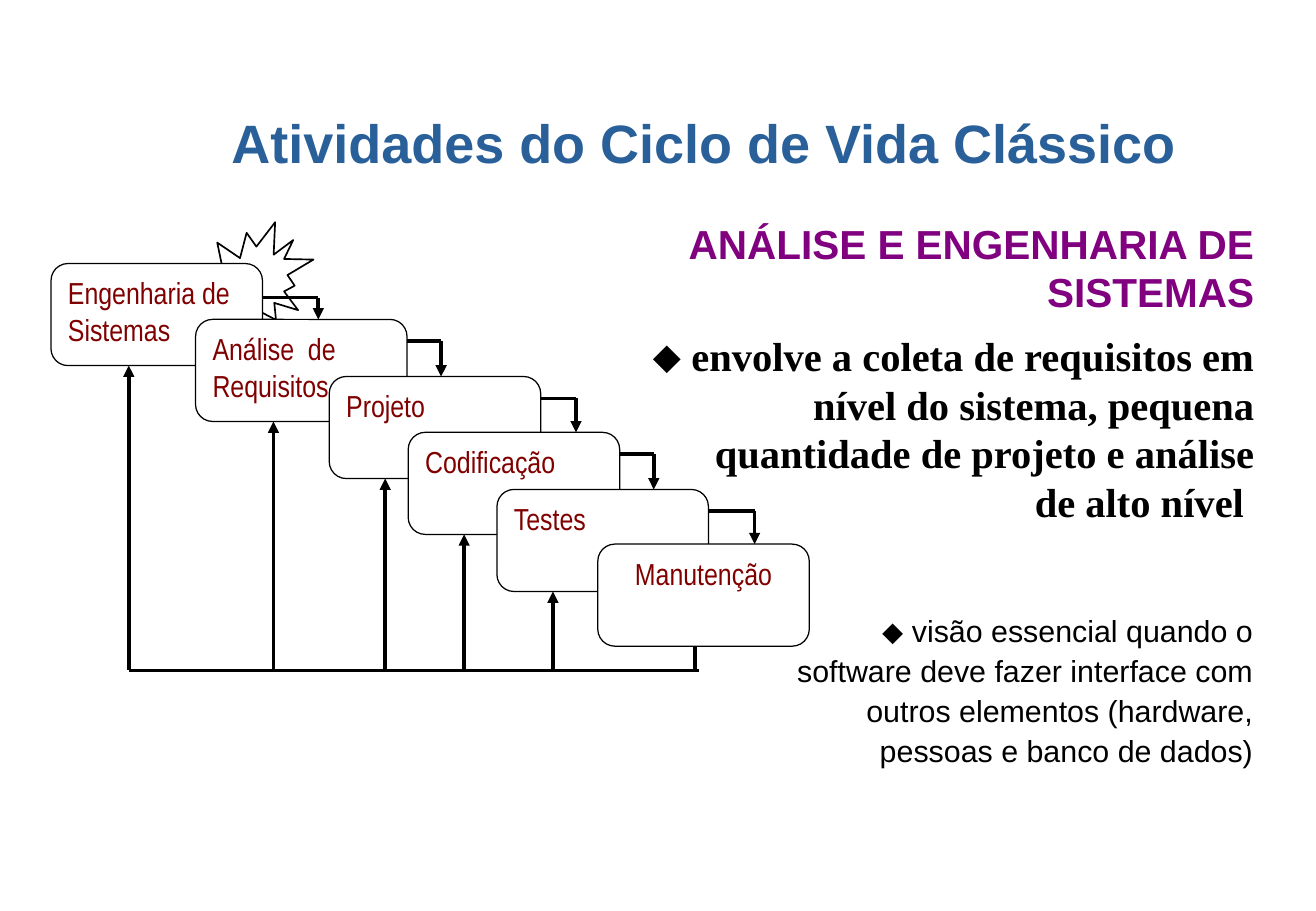
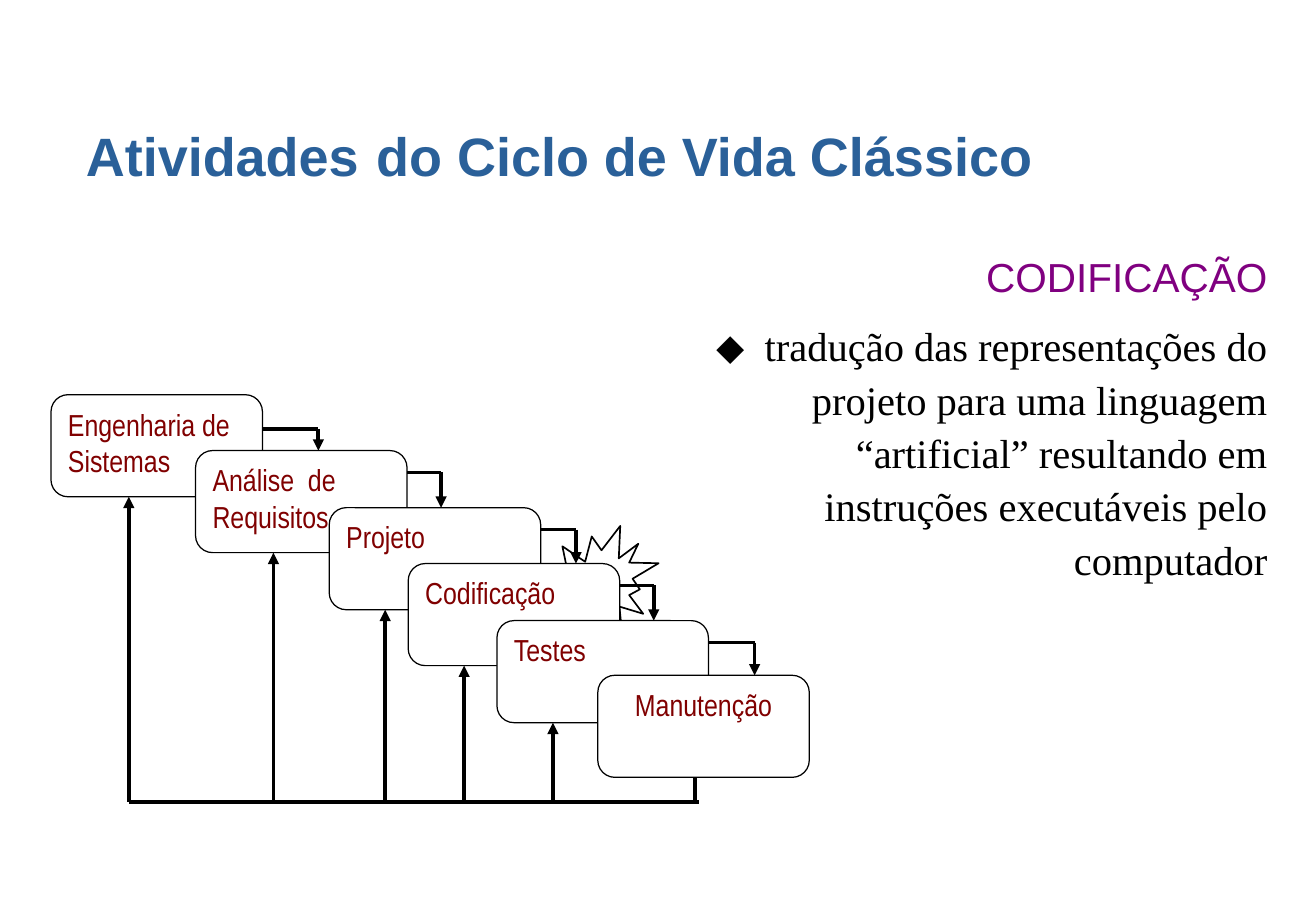
from lxml import etree
from pptx import Presentation
from pptx.dml.color import RGBColor
from pptx.enum import shapes, text
from pptx.oxml.ns import qn
from pptx.util import Inches, Pt

COLORS = {"title": "2A6099", "heading": "800080", "stage": "800000",
          "ink": "000000", "paper": "FFFFFF"}
SANS, NARROW, SERIF = "Arial", "Arial Narrow", "Times New Roman"
LEFT, CENTER, RIGHT = (text.PP_ALIGN.LEFT, text.PP_ALIGN.CENTER,
                       text.PP_ALIGN.RIGHT)
TOP, MIDDLE = text.MSO_ANCHOR.TOP, text.MSO_ANCHOR.MIDDLE
PADDING = (0.1, 0.05)

# Waterfall geometry; heights are measured from the top of the first stage
STAGE_W, STAGE_H = 1.74, 0.84
FLOOR = 3.35
# label, left, top, right end of the forward line, x of the feedback arrow
STAGES = [
    ("Engenharia de Sistemas", 0.42, 0, 2.62, 1.06),
    ("Análise  de Requisitos", 1.61, 0.46, 3.63, 2.25),
    ("Projeto", 2.71, 0.93, 4.74, 3.17),
    ("Codificação", 3.36, 1.39, 5.38, 3.82),
    ("Testes", 4.09, 1.86, 6.21, 4.55),
    ("Manutenção", 4.92, 2.31, None, 5.72),
]


def rgb(name):
    return RGBColor.from_string(COLORS[name])


def add_run(paragraph, words, size, font, color, bold=False):
    run = paragraph.add_run()
    run.text = words
    run.font.size, run.font.name, run.font.bold = Pt(size), font, bold
    run.font.color.rgb = rgb(color)


def format_paragraph(paragraph, align, spacing=1.0, before=0, after=0, hang=0):
    paragraph.alignment = align
    paragraph.line_spacing = spacing
    paragraph.space_before, paragraph.space_after = Pt(before), Pt(after)
    if hang:
        properties = paragraph._p.get_or_add_pPr()
        properties.set("marL", str(Inches(hang)))
        properties.set("indent", str(-Inches(hang)))


def format_frame(frame, padding=PADDING, anchor=TOP):
    frame.word_wrap = True
    frame.auto_size = text.MSO_AUTO_SIZE.NONE
    frame.vertical_anchor = anchor
    frame.margin_left = frame.margin_right = Inches(padding[0])
    frame.margin_top = frame.margin_bottom = Inches(padding[1])


def add_title(slide, box, runs, padding=PADDING):
    title = slide.shapes.title
    title.left, title.top, title.width, title.height = map(Inches, box)
    format_frame(title.text_frame, padding, MIDDLE)
    paragraph = title.text_frame.paragraphs[0]
    format_paragraph(paragraph, CENTER, 0.9)
    for run in runs:
        add_run(paragraph, *run)


def add_text(slide, box, paragraphs, padding=PADDING, anchor=TOP):
    """Right-aligned text; each paragraph is (format options, runs)."""
    frame = slide.shapes.add_textbox(*map(Inches, box)).text_frame
    format_frame(frame, padding, anchor)
    for index, (options, runs) in enumerate(paragraphs):
        paragraph = frame.add_paragraph() if index else frame.paragraphs[0]
        format_paragraph(paragraph, RIGHT, **options)
        for run in runs:
            add_run(paragraph, *run)


def add_line(group, x1, y1, x2, y2, arrow_end=None):
    line = group.shapes.add_connector(
        shapes.MSO_CONNECTOR.STRAIGHT, *map(Inches, (x1, y1, x2, y2)))
    line.line.color.rgb = rgb("ink")
    line.line.width = Pt(2.25)
    if arrow_end:
        etree.SubElement(line.line._get_or_add_ln(), qn(arrow_end),
                         type="triangle")
    etree.SubElement(line._element.spPr, qn("a:effectLst"))


def add_burst(slide, left, top):
    """Burst marking the current stage."""
    burst = slide.shapes.add_shape(
        shapes.MSO_SHAPE.EXPLOSION2, *map(Inches, (left, top, 1, 1)))
    burst.shadow.inherit = False
    burst.fill.background()
    burst.line.color.rgb = rgb("ink")
    burst.line.width = Pt(1)


def add_stage(group, label, left, top, align):
    stage = group.shapes.add_shape(
        shapes.MSO_SHAPE.ROUNDED_RECTANGLE,
        *map(Inches, (left, top, STAGE_W, STAGE_H)))
    stage.shadow.inherit = False
    stage.fill.solid()
    stage.fill.fore_color.rgb = rgb("paper")
    stage.line.color.rgb = rgb("ink")
    stage.line.width = Pt(0.75)
    format_frame(stage.text_frame)
    paragraph = stage.text_frame.paragraphs[0]
    format_paragraph(paragraph, align)
    add_run(paragraph, label, 18, NARROW, "stage")


def add_waterfall(slide, top):
    group = slide.shapes.add_group_shape()
    floor = top + FLOOR
    for label, left, drop, forward_x, _ in STAGES:
        add_stage(group, label, left, top + drop, LEFT if forward_x else CENTER)

    # Forward elbows to the next stage and feedback arrows from the floor
    for index, (stage, following) in enumerate(zip(STAGES, STAGES[1:])):
        _, left, drop, forward_x, feedback_x = stage
        exit_y = top + drop + (0.18 if index else 0.28)
        add_line(group, left + STAGE_W, exit_y, forward_x, exit_y)
        add_line(group, forward_x, exit_y, forward_x, top + following[2],
                 "a:tailEnd")
        add_line(group, feedback_x, top + drop + STAGE_H, feedback_x, floor,
                 "a:headEnd")

    # Return line under the stages
    _, _, drop, _, return_x = STAGES[-1]
    add_line(group, return_x, top + drop + STAGE_H, return_x, floor)
    add_line(group, STAGES[0][4], floor, return_x + 0.03, floor)


def build_systems_slide(slide):
    add_title(slide, (1.17, 0.58, 9.25, 1.25), [
        ("Atividades do Ciclo de Vida Clássico", 32, SANS, "title", True)])
    add_text(slide, (5.17, 1.75, 5.25, 2.91), [
        (dict(before=9, after=3, hang=0.38),
         [("ANÁLISE E ENGENHARIA DE SISTEMAS", 24, SANS, "heading", True)]),
        (dict(before=6, after=3, hang=0.38),
         [("⬥", 24, SANS, "ink", True),
          (" envolve a coleta de requisitos em nível do sistema, pequena "
           "quantidade de projeto e análise de alto nível ",
           24, SERIF, "ink", True)]),
    ])
    add_burst(slide, 1.58, 1.83)
    add_waterfall(slide, 2.17)
    add_text(slide, (6.33, 4.96, 4.08, 1.42), [
        (dict(spacing=1.1, before=6, after=3),
         [("⬥ visão essencial quando o software deve fazer interface com "
           "outros elementos (hardware, pessoas e banco de dados)",
           18, SANS, "ink")]),
    ], anchor=MIDDLE)


def build_coding_slide(slide):
    add_title(slide, (0, 0.67, 9.21, 1.25), [
        ("Atividades", 32, SANS, "title", True),
        (" ", 36, SANS, "ink"),
        ("do Ciclo de Vida Clássico", 32, SANS, "title", True)], (0, 0))
    add_text(slide, (5.68, 2.12, 4.75, 3.83), [
        (dict(spacing=0.9, before=9, after=3, hang=0.25),
         [("CODIFICAÇÃO", 24, SANS, "heading")]),
        (dict(spacing=1.1, before=6, after=3, hang=0.25),
         [("⬥", 24, SANS, "ink"),
          ("  tradução das representações do projeto para uma linguagem "
           "“artificial” resultando em instruções executáveis pelo "
           "computador", 24, SERIF, "ink")]),
    ], (0, 0))
    add_burst(slide, 4.42, 4.33)
    add_waterfall(slide, 3.25)


def main():
    deck = Presentation()
    deck.slide_width, deck.slide_height = Inches(10.83), Inches(7.5)
    title_only = deck.slide_layouts[5]
    for build in (build_systems_slide, build_coding_slide):
        build(deck.slides.add_slide(title_only))
    deck.save("out.pptx")


if __name__ == "__main__":
    main()
